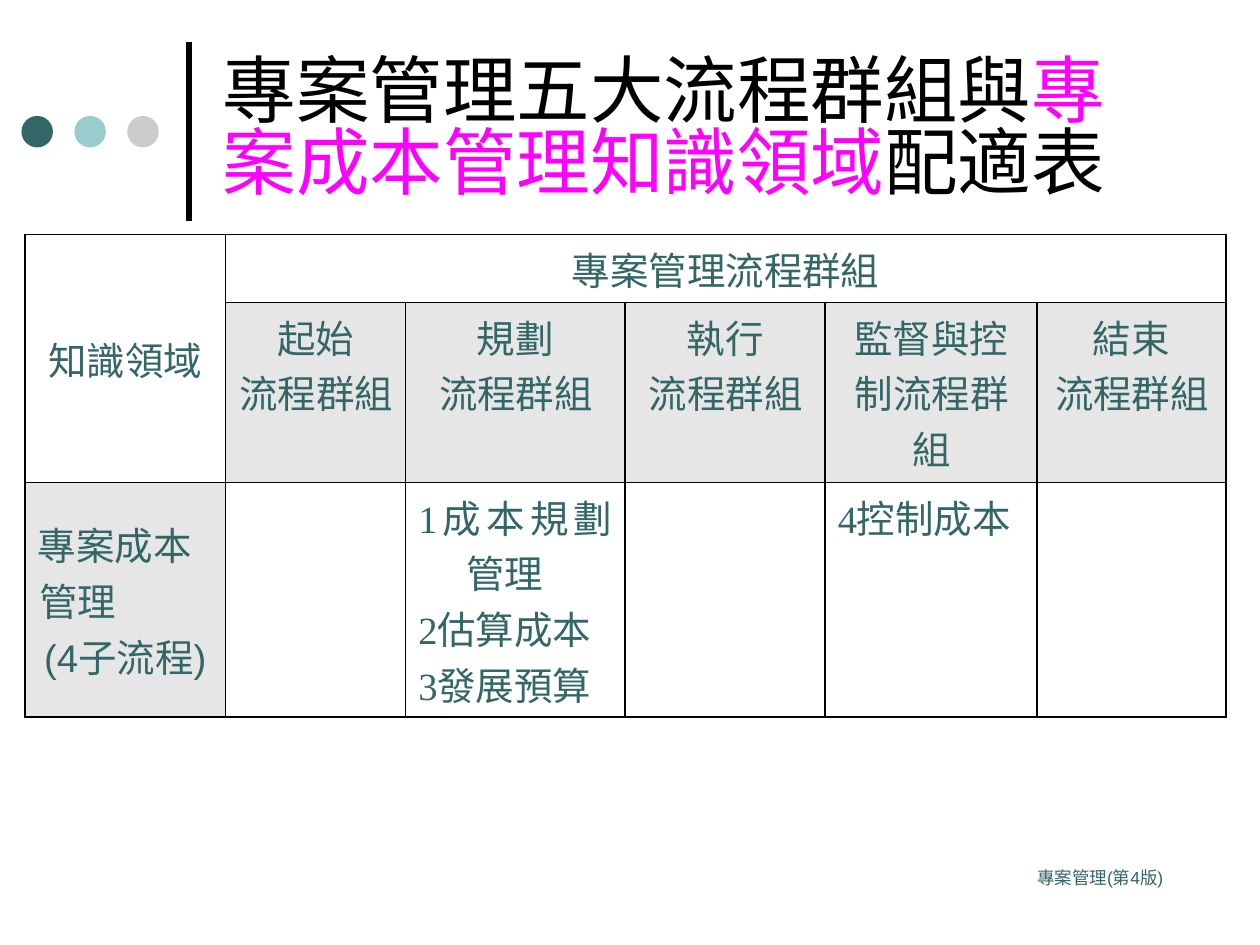
from dataclasses import dataclass

from lxml.etree import SubElement
from pptx import Presentation
from pptx.dml.color import RGBColor
from pptx.enum.shapes import MSO_CONNECTOR as Connector, MSO_SHAPE as Preset
from pptx.enum.text import MSO_ANCHOR as Anchor, PP_ALIGN as Align
from pptx.oxml.ns import qn
from pptx.util import Inches, Pt


@dataclass(frozen=True)
class Theme:
    ink: str = "000000"
    teal: str = "336666"
    aqua: str = "99CCCC"
    silver: str = "CCCCCC"
    accent: str = "FF00FF"
    shade: str = "E6E6E6"
    paper: str = "FFFFFF"
    sans: str = "Arial"
    serif: str = "Times New Roman"
    title_size: int = 42
    table_size: int = 22
    footer_size: int = 10


@dataclass(frozen=True)
class Entry:
    text: str = ""
    align: Align = Align.LEFT
    hang: float = 0.01
    middle: bool = False
    shaded: bool = False
    serif: bool = False
    last_align: Align = None


class SlideBuilder:
    """Draws styled elements on the current slide."""

    def __init__(self, slide, theme):
        self.slide = slide
        self.theme = theme

    def style(self, run, size, color, font=None):
        run.font.size = Pt(size)
        run.font.name = font or self.theme.sans
        run.font.color.rgb = RGBColor.from_string(color)

    def dot(self, left, top, size, color):
        dot = self.slide.shapes.add_shape(
            Preset.OVAL, Inches(left), Inches(top), Inches(size), Inches(size))
        dot.shadow.inherit = False
        dot.fill.solid()
        dot.fill.fore_color.rgb = RGBColor.from_string(color)
        dot.line.fill.background()

    def rule(self, x, start, end, width):
        rule = self.slide.shapes.add_connector(
            Connector.STRAIGHT, Inches(x), Inches(start), Inches(x), Inches(end))
        rule.line.width = Pt(width)
        rule.line.color.rgb = RGBColor.from_string(self.theme.ink)
        SubElement(rule._element.spPr, qn("a:effectLst"))

    def text(self, box, parts, size, align=Align.LEFT, anchor=Anchor.TOP, spacing=None):
        frame = self.slide.shapes.add_textbox(*map(Inches, box)).text_frame
        frame.word_wrap = True
        frame.vertical_anchor = anchor
        paragraph = frame.paragraphs[0]
        paragraph.alignment = align
        paragraph.line_spacing = spacing
        for words, color in parts:
            run = paragraph.add_run()
            run.text = words
            self.style(run, size, color)

    def borders(self, cell):
        properties = cell._tc.get_or_add_tcPr()
        for side in ("lnL", "lnR", "lnT", "lnB"):
            line = SubElement(properties, qn(f"a:{side}"), w=str(Pt(1)))
            fill = SubElement(line, qn("a:solidFill"))
            SubElement(fill, qn("a:srgbClr"), val=self.theme.ink)

    def cell(self, cell, entry):
        theme = self.theme
        self.borders(cell)
        cell.fill.solid()
        cell.fill.fore_color.rgb = RGBColor.from_string(
            theme.shade if entry.shaded else theme.paper)
        cell.vertical_anchor = Anchor.MIDDLE if entry.middle else Anchor.TOP
        cell.text_frame.text = entry.text
        for paragraph in cell.text_frame.paragraphs:
            paragraph.alignment = entry.align
            properties = paragraph._p.get_or_add_pPr()
            properties.set("marL", str(Inches(entry.hang)))
            properties.set("indent", str(-Inches(entry.hang)))
            for run in paragraph.runs:
                self.style(run, theme.table_size, theme.teal,
                           theme.serif if entry.serif else theme.sans)
        if entry.last_align is not None:
            paragraph.alignment = entry.last_align

    def table(self, left, top, widths, heights, entries, merges):
        table = self.slide.shapes.add_table(
            len(heights), len(widths), Inches(left), Inches(top),
            Inches(sum(widths)), Inches(sum(heights))).table
        table.first_row = table.horz_banding = False
        for column, width in zip(table.columns, widths):
            column.width = Inches(width)
        for row, height, row_entries in zip(table.rows, heights, entries):
            row.height = Inches(height)
            for cell, entry in zip(row.cells, row_entries):
                self.cell(cell, entry)
        for first, last in merges:
            table.cell(*first).merge(table.cell(*last))


def main():
    deck = Presentation()
    deck.slide_width, deck.slide_height = Inches(10), Inches(7.5)
    theme = Theme()
    builder = SlideBuilder(deck.slides.add_slide(deck.slide_layouts[6]), theme)

    builder.rule(1.5, 1.75, 0.33, 3)
    for index, color in enumerate((theme.teal, theme.aqua, theme.silver)):
        builder.dot(0.17 + 0.42 * index, 0.92, 0.25, color)
    builder.text((7.25, 6.83, 2.08, 0.5), [("專案管理(第4版)", theme.teal)],
                 theme.footer_size, align=Align.RIGHT)
    builder.text((1.67, 0.21, 7.67, 1.67),
                 [("專案管理五大流程群組與", theme.ink),
                  ("專案成本管理知識領域", theme.accent),
                  ("配適表", theme.ink)],
                 theme.title_size, anchor=Anchor.MIDDLE, spacing=0.82)

    blank = Entry()
    groups = ("起始\v流程群組", "規劃\v流程群組", "執行\v流程群組",
              "監督與控制流程群組", "結束\v流程群組")
    headings = [Entry(words, Align.CENTER, 0.38, middle=True)
                for words in ("知識領域", "專案管理流程群組")]
    planning, control = [
        Entry(words, Align.JUSTIFY, 0.38, serif=True)
        for words in ("1成本規劃管理\n2估算成本\n3發展預算", "4控制成本")]
    area = Entry("專案成本管理\n(4子流程)", middle=True, shaded=True,
                 last_align=Align.CENTER)
    builder.table(
        0.2, 1.86, (1.59, 1.43, 1.74, 1.59, 1.68, 1.5), (0.54, 1.43, 1.86),
        [headings + [blank] * 4,
         [blank] + [Entry(group, Align.CENTER, shaded=True) for group in groups],
         [area, blank, planning, blank, control, blank]],
        [((0, 0), (1, 0)), ((0, 1), (0, 5))])

    deck.save("out.pptx")


if __name__ == "__main__":
    main()
